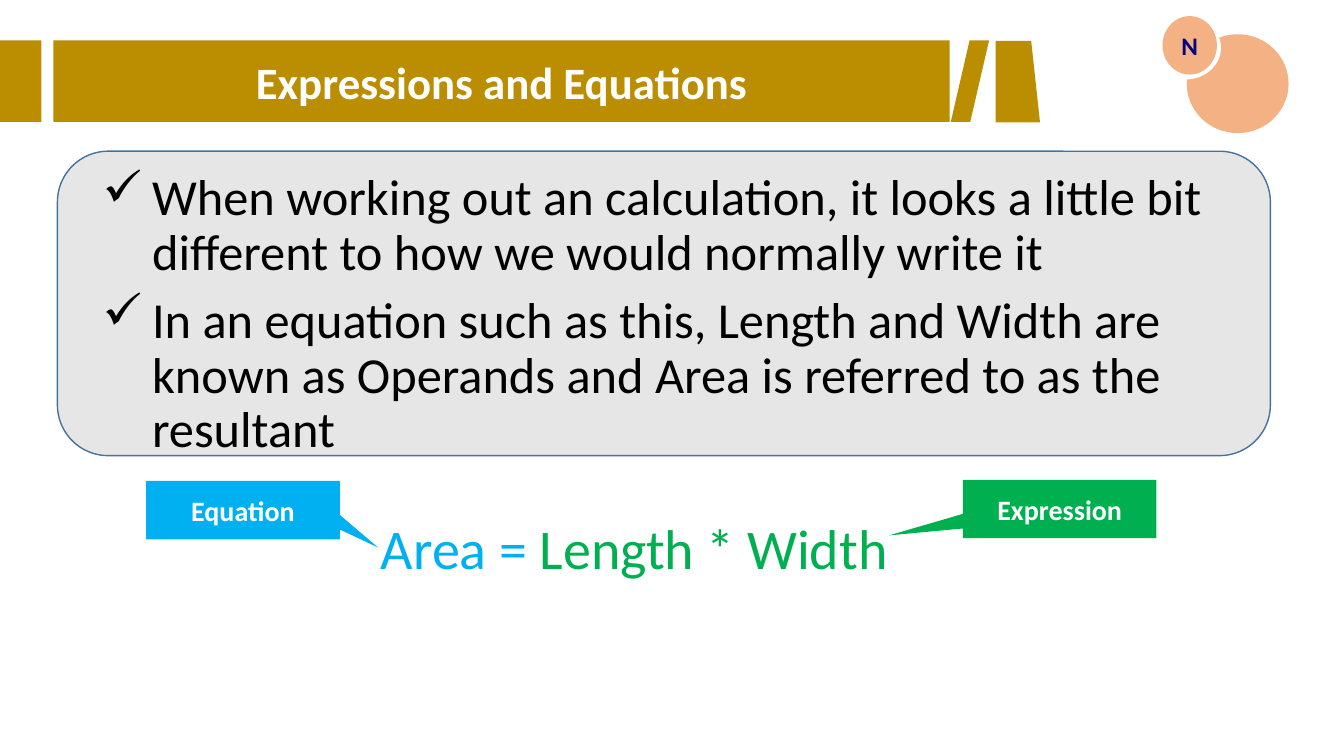
from lxml.etree import SubElement
from pptx import Presentation
from pptx.dml.color import RGBColor
from pptx.enum.shapes import MSO_SHAPE as Shape
from pptx.enum.text import MSO_ANCHOR as Anchor, PP_ALIGN as Align
from pptx.oxml.ns import qn
from pptx.util import Inches, Pt

FONT = "Calibri"
GOLD, PEACH, BLUE, GREEN = "BB8E01", "F4B183", "00B0F0", "00B050"
WHITE, BLACK, NAVY = "FFFFFF", "000000", "000080"
PANEL_FILL, PANEL_LINE = "E7E6E6", "43739E"

PANEL = (0.57, 1.5, 12.03, 3.02)
BULLET_BOX = (0.92, 1.66, 11.5, 5.39)
BULLETS = [
    "When working out an calculation, it looks a little bit different to how we would normally write it",
    "In an equation such as this, Length and Width are known as Operands and Area is referred to as the resultant",
]
BULLET_INDENT = 0.49
FORMULA_BOX = (3.68, 5.05, 5.47, 0.77)
FORMULA = [("Area = ", BLUE), ("Length * Width", GREEN)]

CALLOUTS = [
    ("Expression", 9.55, 4.76, GREEN, (-0.881, 0.451)),
    ("Equation", 1.45, 4.77, BLUE, (0.698, 0.641)),
]
CALLOUT_SIZE = (1.92, 0.58)

BANNER_TOP, BANNER_HEIGHT = 0.4, 0.81
TITLE = "Expressions and Equations"
BANNER_PARTS = [
    (Shape.RECTANGLE, 0, 0.41, (), ""),
    (Shape.RECTANGLE, 0.53, 8.89, (), TITLE),
    (Shape.PARALLELOGRAM, 9.43, 0.38, (0.492,), ""),
]
BANNER_END = (9.69, 0.59, BANNER_HEIGHT, 0.44)
CIRCLES = [
    ((11.77, 0.34, 1.01, 0.98), PEACH, ""),
    ((11.4, 0.16, 0.71, 0.63), WHITE, ""),
    ((11.53, 0.16, 0.54, 0.58), PEACH, "N"),
]


def color(value):
    return RGBColor.from_string(value)


def format_run(run, size, value, bold=False):
    run.font.name = FONT
    run.font.size = Pt(size)
    run.font.bold = bold
    run.font.color.rgb = color(value)


def add_block(slide, kind, box, fill, adjustments=(), label="", size=20, ink=WHITE):
    shape = slide.shapes.add_shape(kind, *map(Inches, box))
    shape.shadow.inherit = False
    shape.fill.solid()
    shape.fill.fore_color.rgb = color(fill)
    shape.line.fill.background()
    for index, value in enumerate(adjustments):
        shape.adjustments[index] = value
    if label:
        frame = shape.text_frame
        frame.text = label
        frame.vertical_anchor = Anchor.MIDDLE
        paragraph = frame.paragraphs[0]
        paragraph.alignment = Align.CENTER
        format_run(paragraph.runs[0], size, ink, bold=True)
    return shape


def add_text_frame(slide, box):
    frame = slide.shapes.add_textbox(*map(Inches, box)).text_frame
    frame.word_wrap = True
    return frame


def add_bullets(slide):
    frame = add_text_frame(slide, BULLET_BOX)
    frame.text = "\n".join(BULLETS)
    for paragraph in frame.paragraphs:
        paragraph.line_spacing = 0.9
        paragraph.space_before = Pt(10)
        format_run(paragraph.runs[0], 36, BLACK)
        properties = paragraph._p.get_or_add_pPr()
        properties.set("marL", str(Inches(BULLET_INDENT)))
        properties.set("indent", str(-Inches(BULLET_INDENT)))
        SubElement(properties, qn("a:buChar")).set("char", "✓")


def add_formula(slide):
    paragraph = add_text_frame(slide, FORMULA_BOX).paragraphs[0]
    for text, value in FORMULA:
        run = paragraph.add_run()
        run.text = text
        format_run(run, 40, value)


def main():
    presentation = Presentation()
    presentation.slide_width = Inches(13.33)
    presentation.slide_height = Inches(7.5)
    slide = presentation.slides.add_slide(presentation.slide_layouts[6])

    panel = add_block(slide, Shape.ROUNDED_RECTANGLE, PANEL, PANEL_FILL)
    panel.line.color.rgb = color(PANEL_LINE)
    panel.line.width = Pt(1)
    add_bullets(slide)
    add_formula(slide)

    for label, left, top, fill, pointer in CALLOUTS:
        add_block(slide, Shape.RECTANGULAR_CALLOUT, (left, top, *CALLOUT_SIZE), fill, pointer, label)

    for kind, left, width, adjustments, label in BANNER_PARTS:
        box = (left, BANNER_TOP, width, BANNER_HEIGHT)
        add_block(slide, kind, box, GOLD, adjustments, label, 32)
    add_block(slide, Shape.FLOWCHART_MANUAL_INPUT, BANNER_END, GOLD).rotation = 90

    for box, fill, label in CIRCLES:
        add_block(slide, Shape.OVAL, box, fill, (), label, 18, NAVY)

    presentation.save("out.pptx")


if __name__ == "__main__":
    main()
